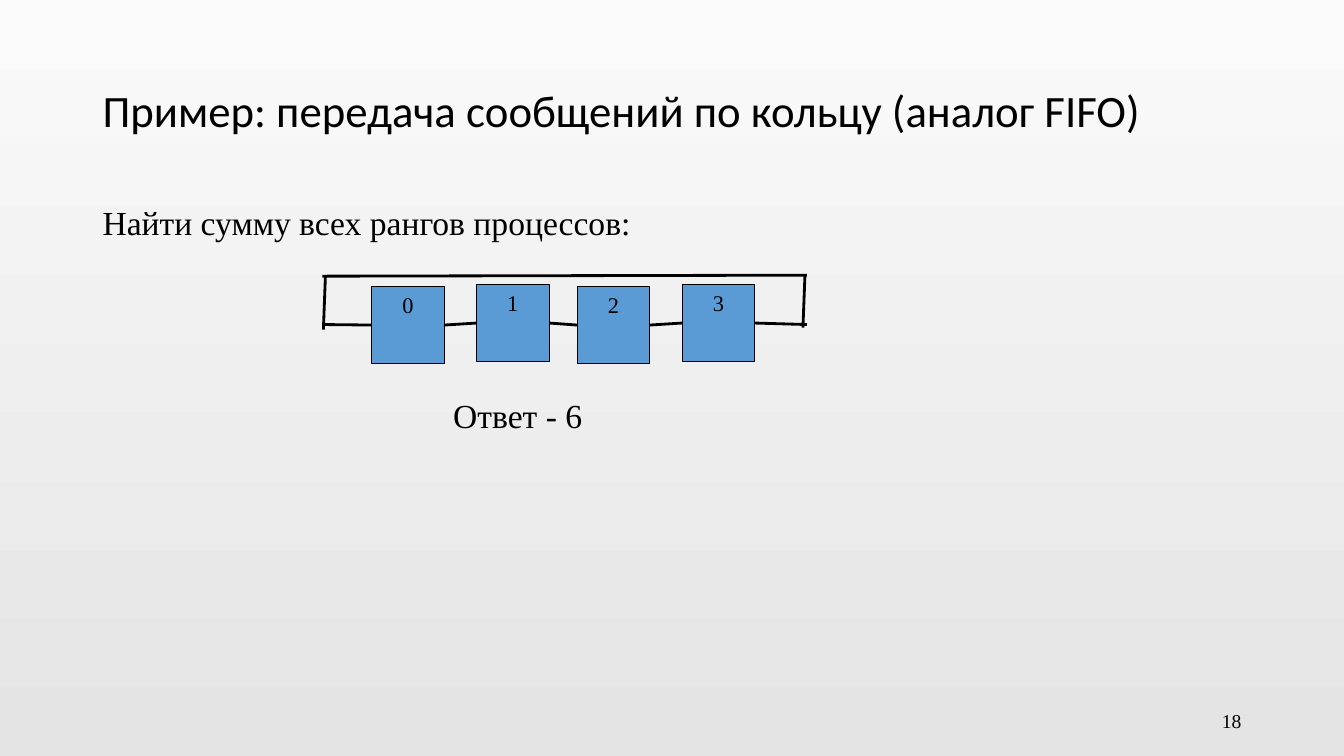
import pptx
import pptx.dml.color
import pptx.enum.shapes
import pptx.enum.text
import pptx.oxml
import pptx.util

Inches = pptx.util.Inches
Align = pptx.enum.text.PP_ALIGN
Anchor = pptx.enum.text.MSO_ANCHOR
SERIF = "Times New Roman"
TOP, LEFT, BOTTOM, RIGHT = range(4)


def color(value):
    return pptx.dml.color.RGBColor.from_string(value)


def paint_background(page, stops):
    fill = page.background.fill
    fill.gradient()
    fill.gradient_angle = 270
    for stop, value in zip(fill.gradient_stops, stops):
        stop.color.rgb = color(value)


def write(box, text, size, font=SERIF, align=Align.LEFT, anchor=Anchor.TOP, spacing=1.0, wrap=True):
    frame = box.text_frame
    frame.word_wrap = wrap
    frame.vertical_anchor = anchor
    para = frame.paragraphs[0]
    para.alignment = align
    para.line_spacing = spacing
    span = para.add_run()
    span.text = text
    span.font.name = font
    span.font.size = pptx.util.Pt(size)
    span.font.color.rgb = color("000000")


def add_text(page, place, text, size, **style):
    box = page.shapes.add_textbox(*map(Inches, place))
    write(box, text, size, **style)


def add_process(page, rank, left, top):
    box = page.shapes.add_shape(
        pptx.enum.shapes.MSO_SHAPE.RECTANGLE, Inches(left), Inches(top), Inches(0.72), Inches(0.77)
    )
    box.shadow.inherit = False
    box.fill.solid()
    box.fill.fore_color.rgb = color("5B9BD5")
    box.line.color.rgb = color("000000")
    box.line.width = pptx.util.Pt(0.75)
    write(box, str(rank), 16, align=Align.CENTER, wrap=False)
    return box


def add_line(page, start=(0, 0), end=(0, 0), source=None, target=None):
    line = page.shapes.add_connector(
        pptx.enum.shapes.MSO_CONNECTOR.STRAIGHT, *map(Inches, (*start, *end))
    )
    if source is not None:
        line.begin_connect(source, RIGHT)
    if target is not None:
        line.end_connect(target, LEFT)
    line.line.color.rgb = color("000000")
    line.line.width = pptx.util.Pt(2)
    properties = line._element.spPr
    properties.append(pptx.oxml.parse_xml(
        '<a:effectLst xmlns:a="http://schemas.openxmlformats.org/drawingml/2006/main"/>'
    ))


def add_ring(page):
    places = [(3.69, 2.84), (4.73, 2.82), (5.73, 2.84), (6.77, 2.82)]
    processes = [add_process(page, rank, *place) for rank, place in enumerate(places)]
    for source, target in zip(processes, processes[1:]):
        add_line(page, source=source, target=target)
    add_line(page, start=(3.22, 3.22), target=processes[0])
    add_line(page, end=(8.01, 3.22), source=processes[-1])
    add_line(page, (3.2, 2.74), (8.01, 2.73))
    add_line(page, (3.23, 2.74), (3.21, 3.27))
    add_line(page, (7.99, 2.73), (7.97, 3.25))


def main():
    deck = pptx.Presentation()
    deck.slide_width = Inches(13.34)
    deck.slide_height = Inches(7.5)
    page = deck.slides.add_slide(deck.slide_layouts[6])
    paint_background(page, ["FAFAFA", "E4E4E4"])
    add_text(page, (0.92, 0.4, 11.5, 1.45), "Пример: передача сообщений по кольцу (аналог FIFO)", 32,
             font="Calibri", anchor=Anchor.MIDDLE, spacing=0.9)
    add_text(page, (0.92, 2, 11.5, 4.76), "Найти сумму всех рангов процессов:", 24, spacing=0.9)
    add_text(page, (9.42, 6.95, 3, 0.4), "18", 14, align=Align.RIGHT, anchor=Anchor.MIDDLE)
    add_ring(page)
    add_text(page, (4.4, 3.87, 2.49, 0.5), "Ответ - 6", 24)
    deck.save("out.pptx")


if __name__ == "__main__":
    main()
